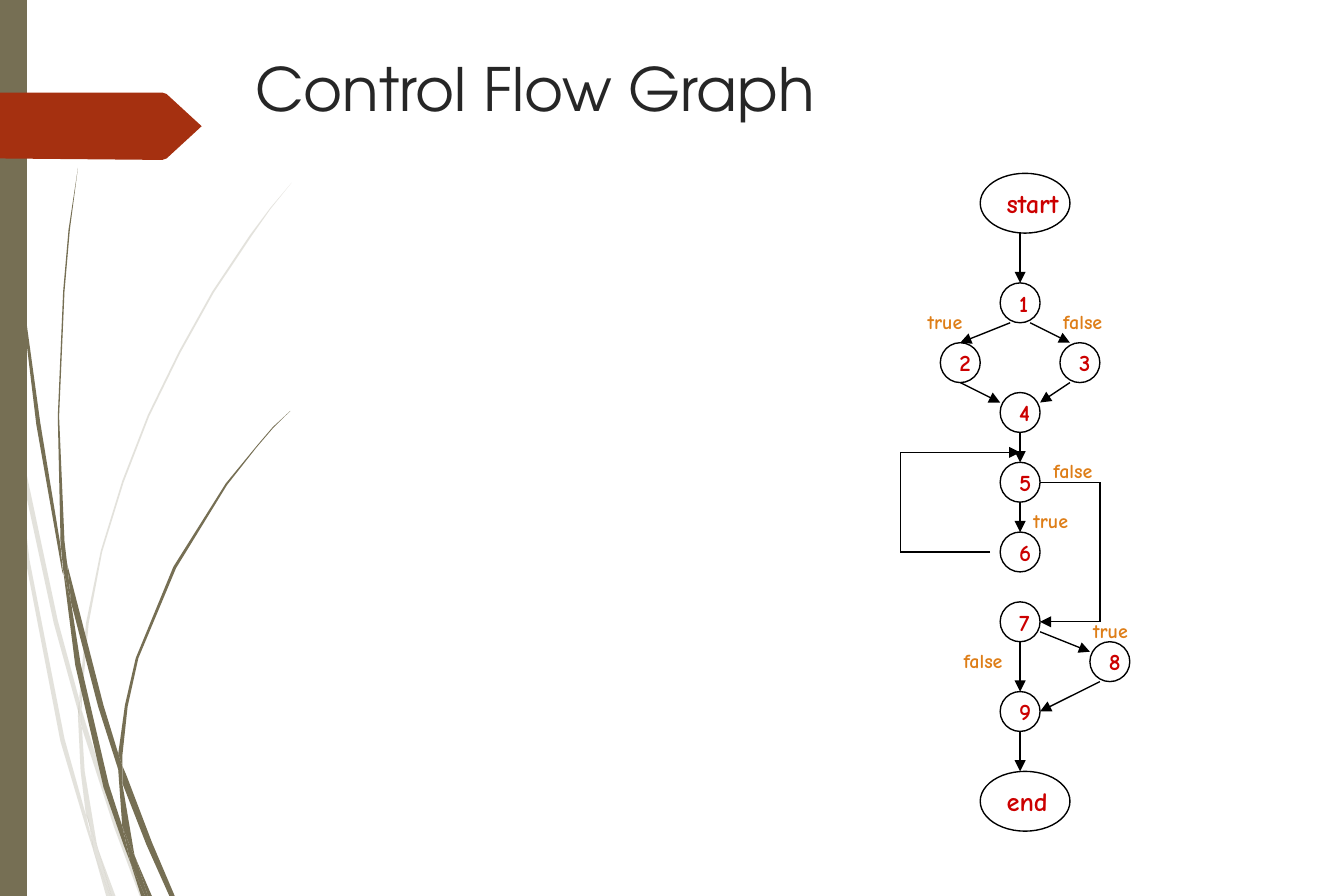
from dataclasses import dataclass

from lxml import etree
from pptx import Presentation
from pptx.dml.color import RGBColor
from pptx.enum.shapes import MSO_CONNECTOR, MSO_SHAPE
from pptx.enum.text import MSO_ANCHOR, MSO_AUTO_SIZE, PP_ALIGN
from pptx.oxml.ns import qn
from pptx.util import Inches, Pt

OVAL, RECT = MSO_SHAPE.OVAL, MSO_SHAPE.RECTANGLE
STRAIGHT = MSO_CONNECTOR.STRAIGHT
TOP, MIDDLE = MSO_ANCHOR.TOP, MSO_ANCHOR.MIDDLE
LEFT = PP_ALIGN.LEFT
GROW, FIXED = MSO_AUTO_SIZE.SHAPE_TO_FIT_TEXT, MSO_AUTO_SIZE.NONE


@dataclass(frozen=True)
class Theme:
    width: float = 10
    height: float = 6.67
    left: float = 6.7
    top: float = 1.29
    cell: float = 0.0742
    olive: str = "766F54"
    rust: str = "A53010"
    ink: str = "262626"
    line: str = "000000"
    node: str = "CC0000"
    branch: str = "DE7E18"
    heading_font: str = "TeX Gyre Adventor"
    graph_font: str = "Comic Neue"
    title_pt: float = 32
    terminal_pt: float = 14.2
    node_pt: float = 12.4
    branch_pt: float = 10.7
    line_pt: float = 0.75


def write(shape, text, font, size, color, bold=False, anchor=TOP, wrap=False, fit=FIXED):
    tf = shape.text_frame
    tf.word_wrap = wrap
    tf.auto_size = fit
    tf.vertical_anchor = anchor
    p = tf.paragraphs[0]
    p.alignment = LEFT
    r = p.add_run()
    r.text = text
    r.font.name, r.font.size, r.font.bold = font, Pt(size), bold
    r.font.color.rgb = RGBColor.from_string(color)


class Canvas:
    def __init__(self, slide, theme):
        self.s, self.t = slide, theme

    def at(self, col, row):
        t = self.t
        return Inches(t.left + col * t.cell), Inches(t.top + row * t.cell)

    def size(self, cols, rows):
        return Inches(cols * self.t.cell), Inches(rows * self.t.cell)

    def paint(self, sp, color, alpha=None):
        sp.shadow.inherit = False
        sp.line.fill.background()
        sp.fill.solid()
        sp.fill.fore_color.rgb = RGBColor.from_string(color)
        if alpha:
            clr = sp.fill._xPr.find(qn("a:solidFill"))[0]
            etree.SubElement(clr, qn("a:alpha"), val=str(alpha * 1000))

    def outline(self, points, color, alpha=None):
        fb = self.s.shapes.build_freeform(*points[0], scale=Inches(0.01))
        fb.add_line_segments(points[1:], close=True)
        self.paint(fb.convert_to_shape(), color, alpha)

    def bar(self, share, color):
        t = self.t
        sp = self.s.shapes.add_shape(RECT, 0, 0, Inches(share * t.width), Inches(t.height))
        self.paint(sp, color)

    def node(self, text, col, row, cols=4, rows=4, pt=None):
        t = self.t
        sp = self.s.shapes.add_shape(OVAL, *self.at(col, row), *self.size(cols, rows))
        sp.shadow.inherit = False
        sp.fill.background()
        sp.line.color.rgb = RGBColor.from_string(t.line)
        sp.line.width = Pt(t.line_pt)
        write(sp, text, t.graph_font, pt or t.node_pt, t.node, bold=True, anchor=MIDDLE)

    def edge(self, *stops):
        for start, end in zip(stops, stops[1:]):
            c = self.s.shapes.add_connector(STRAIGHT, *self.at(*start), *self.at(*end))
            c.line.color.rgb = RGBColor.from_string(self.t.line)
            c.line.width = Pt(self.t.line_pt)
            if end == stops[-1]:
                etree.SubElement(c.line._get_or_add_ln(), qn("a:tailEnd"), type="triangle")
            etree.SubElement(c._element.spPr, qn("a:effectLst"))

    def branch(self, text, col, row):
        t = self.t
        cols = 7.5 if text == "false" else 6.7
        sp = self.s.shapes.add_textbox(*self.at(col, row), *self.size(cols, 3.8))
        write(sp, text, t.graph_font, t.branch_pt, t.branch, bold=True, fit=GROW)

    def title(self, text, x, y, w, h):
        t = self.t
        sp = self.s.shapes.add_textbox(Inches(x * t.width), Inches(y * t.height),
                                       Inches(w * t.width), Inches(h * t.height))
        write(sp, text, t.heading_font, t.title_pt, t.ink, wrap=True)


PALE_GRASS = [
    [(8, 311), (6, 286), (0, 250), (0, 266), (7, 306)],
    [(40, 464), (59, 533), (59, 521), (43, 462), (10, 307), (12, 334)],
    [(64, 539), (61, 529), (61, 542), (85, 616), (104, 667), (108, 667), (88, 615)],
    [(83, 667), (86, 667), (73, 632)],
    [(64, 607), (48, 550), (22, 417), (12, 334), (8, 311), (19, 417), (45, 552),
     (64, 616), (70, 635), (69, 628)],
    [(58, 533), (60, 574), (64, 607), (67, 615), (73, 632), (72, 628), (63, 574),
     (61, 542)],
    [(61, 519), (66, 464), (76, 411), (92, 359), (111, 310), (134, 263), (159, 218),
     (187, 176), (201, 156), (217, 136), (201, 155), (186, 175), (158, 217),
     (133, 262), (110, 309), (91, 358), (75, 410), (64, 464), (59, 519), (61, 529)],
    [(70, 635), (79, 667), (82, 667)],
    [(61, 541), (61, 530), (59, 521), (58, 533)],
    [(67, 615), (65, 607), (69, 629), (70, 635), (82, 667), (83, 667), (73, 632)],
]
DARK_GRASS = [
    [(5, 98), (14, 207), (27, 316), (46, 424), (47, 428), (45, 406), (30, 315),
     (15, 206), (6, 97), (4, 43), (3, 0), (2, 0), (3, 43)],
    [(73, 526), (88, 573), (88, 561), (77, 525), (50, 420), (53, 449)],
    [(94, 577), (91, 570), (91, 583), (109, 629), (126, 667), (130, 667), (113, 627)],
    [(91, 615), (81, 584), (60, 494), (53, 449), (47, 424), (56, 495), (77, 586),
     (92, 629), (97, 642), (96, 637)],
    [(50, 420), (48, 403), (44, 310), (48, 217), (52, 171), (58, 125), (51, 171),
     (47, 217), (43, 310), (45, 399), (49, 419)],
    [(110, 667), (113, 667), (101, 639)],
    [(47, 424), (53, 449), (50, 420), (45, 399), (45, 403)],
    [(91, 563), (95, 526), (103, 490), (131, 423), (169, 361), (191, 333), (203, 319),
     (216, 306), (203, 318), (191, 332), (168, 360), (129, 422), (101, 490),
     (93, 525), (88, 561), (91, 570)],
    [(97, 642), (105, 667), (108, 667)],
    [(88, 573), (91, 615), (96, 628), (101, 639), (100, 636), (91, 583), (90, 578)],
    [(88, 573), (91, 583), (91, 570), (88, 561)],
    [(96, 628), (91, 615), (96, 637), (97, 642), (108, 667), (110, 667), (101, 639)],
]
BANNER = [(149, 95), (124, 118), (121, 119), (112, 119), (0, 118), (0, 69),
          (121, 69), (124, 70), (149, 93), (150, 94)]
NODES = [("1", 10, 11), ("2", 4, 17), ("3", 16, 17), ("4", 10, 22), ("5", 10, 29),
         ("6", 10, 36), ("7", 10, 43), ("8", 19, 47), ("9", 10, 52)]
EDGES = [
    [(12, 6), (12, 11)], [(11, 15), (6, 17)], [(13, 15), (17, 17)],
    [(6, 21), (10, 23)], [(17, 21), (14, 23)], [(12, 56), (12, 60)],
    [(14, 46), (19, 48)], [(20, 51), (14, 54)], [(12, 47), (12, 52)],
    [(12, 26), (12, 29)], [(12, 33), (12, 36)],
    [(9, 38), (0, 38), (0, 28), (12, 28)],
    [(14, 31), (20, 31), (20, 45), (14, 45)],
]
BRANCHES = [("false", 14, 28), ("false", 15, 13), ("true", 1.4, 13),
            ("true", 12, 33), ("true", 18, 44), ("false", 5, 47)]


def main():
    t = Theme()
    prs = Presentation()
    prs.slide_width, prs.slide_height = Inches(t.width), Inches(t.height)
    c = Canvas(prs.slides.add_slide(prs.slide_layouts[6]), t)
    for blade in PALE_GRASS:
        c.outline(blade, t.olive, alpha=20)
    for blade in DARK_GRASS:
        c.outline(blade, t.olive)
    c.bar(0.02, t.olive)
    c.outline(BANNER, t.rust)
    for text, row in (("start", 0), ("end", 60)):
        c.node(text, 8, row, cols=9, rows=6, pt=t.terminal_pt)
    for node in NODES:
        c.node(*node)
    for stops in EDGES:
        c.edge(*stops)
    for branch in BRANCHES:
        c.branch(*branch)
    c.title("Control Flow Graph", 0.18, 0.05, 0.52, 0.12)
    prs.save("out.pptx")


if __name__ == "__main__":
    main()
